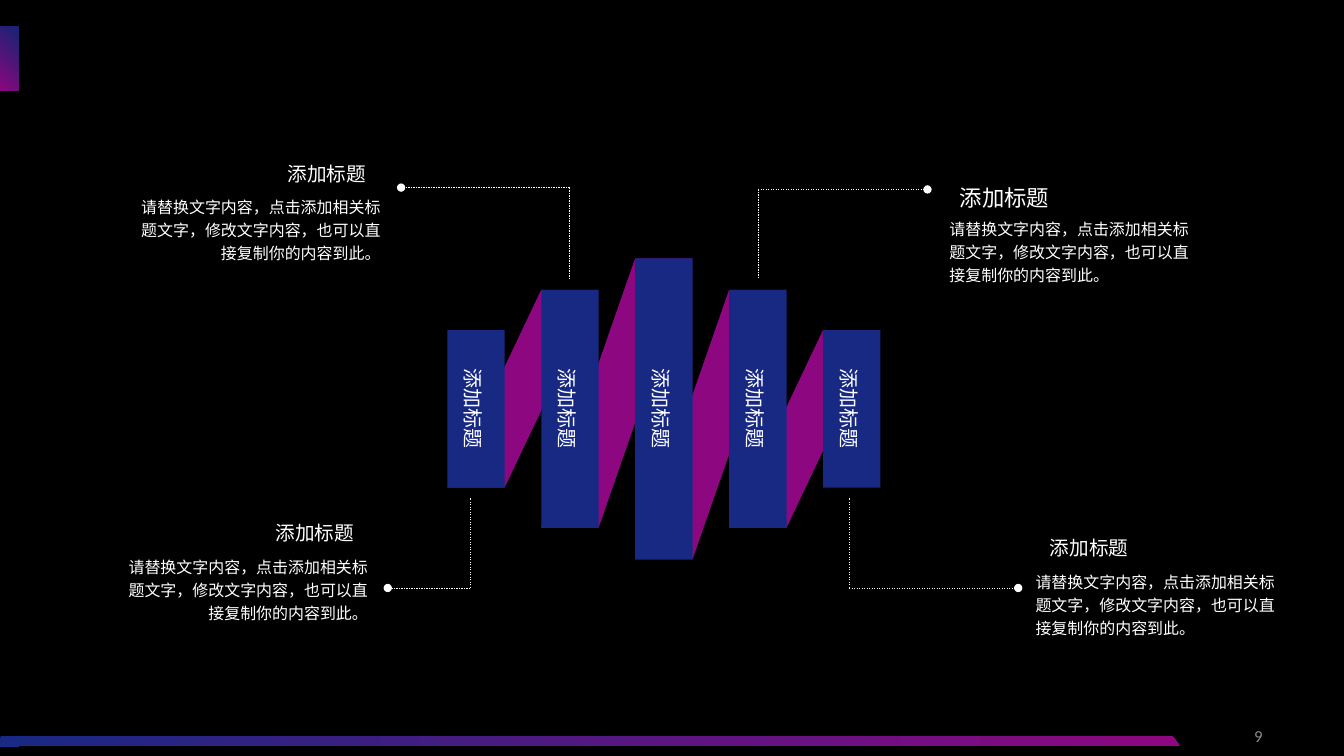
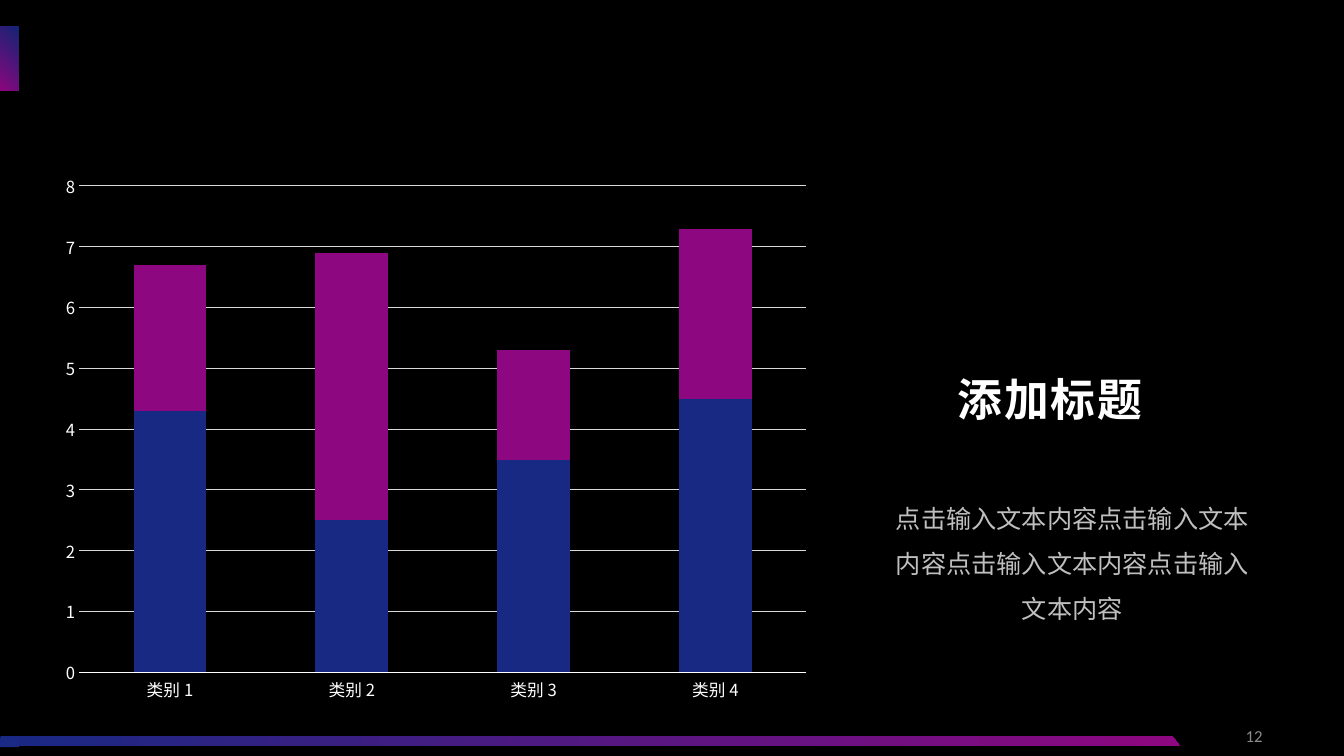
from lxml import etree
from pptx import Presentation
from pptx.chart.data import CategoryChartData as ChartData
from pptx.dml.color import RGBColor as RGB
from pptx.enum.chart import XL_CHART_TYPE as CHART, XL_TICK_MARK as TICK
from pptx.enum.dml import MSO_LINE as DASH
from pptx.enum.shapes import MSO_CONNECTOR as LINK, MSO_SHAPE as SHAPE, MSO_SHAPE_TYPE as KIND
from pptx.enum.text import MSO_ANCHOR as ANCHOR, PP_ALIGN as ALIGN
from pptx.oxml.ns import qn
from pptx.util import Pt

HUES = {
    "black": "000000", "white": "FFFFFF", "blue": "182983", "purple": "8D0780",
    "notch": "1A2983", "number": "8C8C8C", "soft": "BFBFBF", "grid": "D9D9D9",
}
RGBS = {name: RGB.from_string(code) for name, code in HUES.items()}
SANS = "Noto Sans CJK SC"
HEAD = "添加标题"
BODY = "请替换文字内容，点击添加相关标题文字，修改文字内容，也可以直接复制你的内容到此。"


def set_font(font, size, hue="white", name=SANS, bold=False):
    """Style a font, for Latin and for East Asian letters."""
    for key, val in {"size": Pt(size), "name": name, "bold": bold}.items():
        setattr(font, key, val)
    font.color.rgb = RGBS[hue]
    etree.SubElement(font._rPr, qn("a:ea")).set("typeface", name)


def write(frame, words, look, align=ALIGN.CENTER, space=1.0, **form):
    """Fill a text frame; form holds frame settings such as margins."""
    for key, val in {"word_wrap": True, **form}.items():
        setattr(frame, key, val)
    para = frame.paragraphs[0]
    para.alignment, para.line_spacing = align, space
    run = para.add_run()
    run.text = words
    set_font(run.font, **look)
    return run


deck = Presentation()
deck.slide_width, deck.slide_height = Pt(960), Pt(540)
back = deck.slide_master.background.fill
back.solid()
back.fore_color.rgb = RGBS["black"]

# Shared tab, footer band and page number
slides = []
for page in (9, 12):
    slide = deck.slides.add_slide(deck.slide_layouts[6])
    slides.append(slide)
    tab = slide.shapes.add_shape(SHAPE.RECTANGLE, 0, Pt(19), Pt(13), Pt(46))
    box = slide.shapes.add_textbox(Pt(693), Pt(511), Pt(216), Pt(29))
    write(box.text_frame, str(page), {"size": 12, "hue": "number", "name": "Calibri"},
          ALIGN.RIGHT, vertical_anchor=ANCHOR.MIDDLE)
    band = slide.shapes.add_shape(SHAPE.PARALLELOGRAM, 0, Pt(525.5), Pt(843), Pt(7.6))
    band.adjustments[0] = 0.775
    band._element.spPr.find(qn("a:xfrm")).set("flipH", "1")
    for shape, angle in ((tab, 225), (band, 180)):
        shape.fill.gradient()
        shape.fill.gradient_angle = angle
        for stop, hue in zip(shape.fill.gradient_stops, ("blue", "purple")):
            stop.color.rgb = RGBS[hue]
    first = tab._element.spPr.find(".//" + qn("a:srgbClr"))
    etree.SubElement(first, qn("a:alpha")).set("val", "90000")
    notch = slide.shapes.add_shape(SHAPE.RECTANGLE, 0, Pt(526.7), Pt(13.7), Pt(7))
    notch.fill.solid()
    notch.fill.fore_color.rgb = RGBS["notch"]

# Slide 1: callouts around a folded ribbon
fold, graph = slides
shapes = fold.shapes
notes = [  # body left, top, width; title left, width, size; alignment
    (78, 132, 206, 195, 77, 14, ALIGN.RIGHT),
    (69, 389, 206, 186.5, 77, 14, ALIGN.RIGHT),
    (666, 147.5, 199, 674.5, 86, 16, ALIGN.LEFT),
    (727.5, 399.5, 199, 739.5, 77, 14, ALIGN.LEFT),
]
for left, top, width, start, span, size, align in notes:
    box = shapes.add_textbox(Pt(left), Pt(top), Pt(width), Pt(62))
    write(box.text_frame, BODY, {"size": 11.4}, align, 1.2,
          margin_left=Pt(12.2), margin_right=Pt(12.2),
          margin_top=Pt(6.5), margin_bottom=Pt(6.5))
    box = shapes.add_textbox(Pt(start), Pt(top - 25), Pt(span), Pt(29))
    write(box.text_frame, HEAD, {"size": size}, space=1.2, word_wrap=False,
          margin_left=Pt(10), margin_right=Pt(10),
          margin_top=Pt(5), margin_bottom=Pt(5))

WIDE, STEP, MID = 41, 67.1, 292
bars = [(319.5 + i * STEP, tall) for i, tall in enumerate((112.5, 170, 215, 170, 112.5))]
for (left, tall), (near, high) in zip(bars, bars[1:]):
    low, top = MID + tall / 2, MID - high / 2
    pen = shapes.build_freeform(Pt(left), Pt(low))
    pen.add_line_segments([(Pt(near), Pt(top)), (Pt(near + WIDE), Pt(top)),
                           (Pt(left + WIDE), Pt(low))])
    strip = pen.convert_to_shape()
    strip.fill.solid()
    strip.fill.fore_color.rgb = RGBS["purple"]
for left, tall in bars:
    bar = shapes.add_shape(SHAPE.RECTANGLE, Pt(left + (WIDE - tall) / 2),
                           Pt(MID - WIDE / 2), Pt(tall), Pt(WIDE))
    bar.rotation = 90
    bar.fill.solid()
    bar.fill.fore_color.rgb = RGBS["blue"]
    write(bar.text_frame, HEAD, {"size": 14.3}, space=1.2, vertical_anchor=ANCHOR.MIDDLE)

leads = [  # bar x, bar y, corner y, outer x
    (406.8, 199.5, 134, 286.5),
    (541.5, 199.5, 135.3, 662.5),
    (606.5, 355.5, 420, 727.3),
    (335.8, 355.5, 420, 277),
]
for x, y, turn, out in leads:
    for end, dot in (((x, y), False), ((out, turn), True)):
        line = shapes.add_connector(LINK.STRAIGHT, Pt(x), Pt(turn), *map(Pt, end))
        line.line.color.rgb = RGBS["white"]
        line.line.width = Pt(0.25)
        line.line.dash_style = DASH.DASH
        if dot:
            etree.SubElement(line.line._get_or_add_ln(), qn("a:tailEnd")).set("type", "oval")
        etree.SubElement(line._element.spPr, qn("a:effectLst"))

# Slide 2: stacked columns beside a heading
data = ChartData()
data.categories = [f"类别 {n}" for n in range(1, 5)]
data.add_series("Series 1", (4.3, 2.5, 3.5, 4.5))
data.add_series("Series 2", (2.4, 4.4, 1.8, 2.8))
chart = graph.shapes.add_chart(CHART.COLUMN_STACKED, Pt(36), Pt(116), Pt(551),
                               Pt(393), data).chart
chart.has_legend = chart.has_title = False
set_font(chart.font, 11.9)
plot = chart.plots[0]
plot.gap_width, plot.overlap, plot.vary_by_categories = 150, 100, False
for series, hue in zip(plot.series, ("blue", "purple")):
    series.format.fill.solid()
    series.format.fill.fore_color.rgb = RGBS[hue]
cats, vals = chart.category_axis, chart.value_axis
for axis in (cats, vals):
    axis.major_tick_mark = axis.minor_tick_mark = TICK.NONE
    set_font(axis.tick_labels.font, 11.9)
for key, val in {"minimum_scale": 0, "maximum_scale": 8, "major_unit": 1}.items():
    setattr(vals, key, val)
vals.format.line.fill.background()
for line, hue in ((cats.format.line, "white"), (vals.major_gridlines.format.line, "grid")):
    line.color.rgb = RGBS[hue]
    line.width = Pt(0.75)

box = graph.shapes.add_textbox(Pt(642), Pt(262), Pt(216), Pt(46))
run = write(box.text_frame, "添 加 标 题", {"size": 32, "bold": True})
run.font._rPr.set("spc", "-300")
box = graph.shapes.add_textbox(Pt(624), Pt(345), Pt(284), Pt(105))
write(box.text_frame, "点击输入文本内容" * 4, {"size": 18, "hue": "soft"}, space=1.5)

for slide in slides:
    for shape in slide.shapes:
        if shape.shape_type in (KIND.AUTO_SHAPE, KIND.FREEFORM):
            shape.shadow.inherit = False
            shape.line.fill.background()

deck.save("out.pptx")
